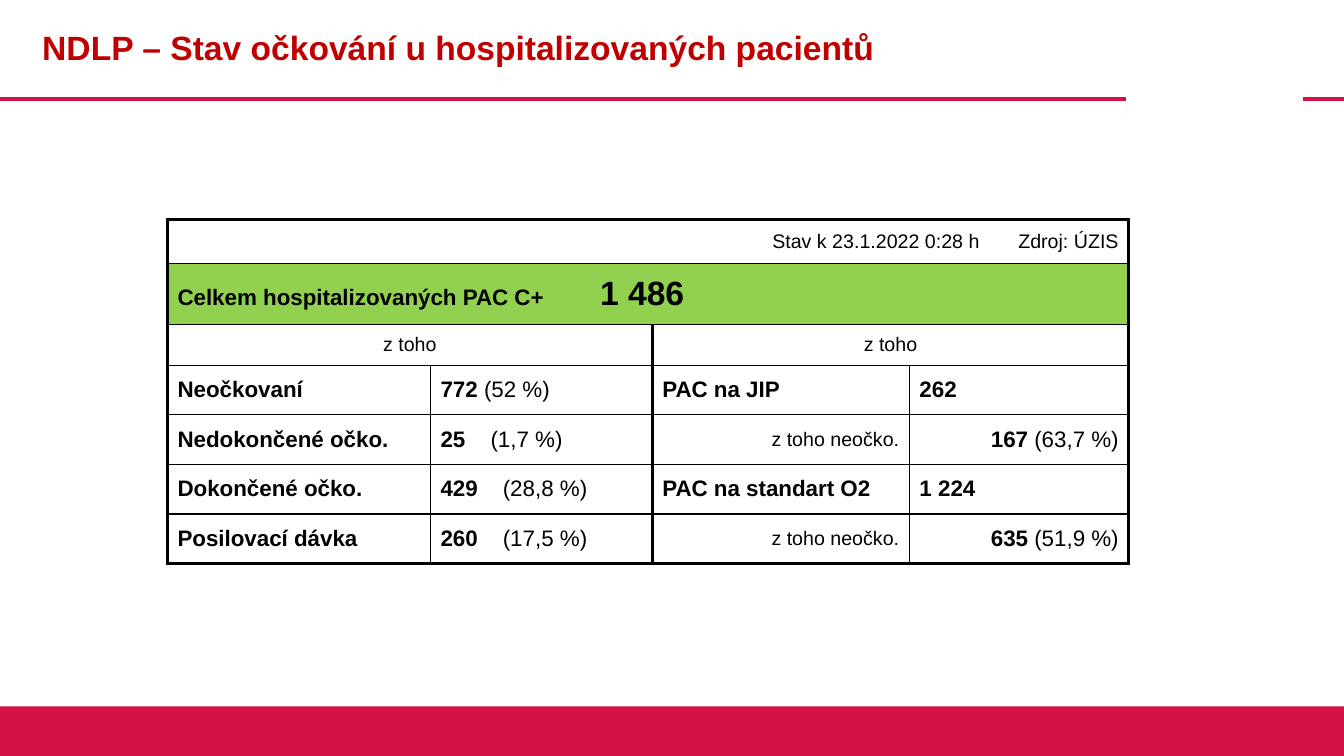
import lxml.etree
import pptx
import pptx.dml.color
import pptx.enum.shapes
import pptx.enum.text
import pptx.oxml.ns
import pptx.util

Cm, Pt = pptx.util.Cm, pptx.util.Pt
RGB = pptx.dml.color.RGBColor.from_string
ALIGN = pptx.enum.text.PP_ALIGN
MIDDLE = pptx.enum.text.MSO_ANCHOR.MIDDLE
qn = pptx.oxml.ns.qn

THEME = {
    "accent": "D31145",
    "total_fill": "92D050",
    "border": "000000",
    "title": {"size": Pt(24), "bold": True, "color": "C00000"},
    "total": {"size": Pt(24), "bold": True, "color": "000000"},
    "label": {"size": Pt(16), "bold": True, "color": "000000"},
    "share": {"size": Pt(16), "bold": False, "color": "000000"},
    "note": {"size": Pt(14), "bold": False, "color": "000000"},
}
THIN, THICK = Pt(1), Pt(2.25)


def add_styled_run(paragraph, text, style):
    run = paragraph.add_run()
    run.text = text
    run.font.name = "Arial"
    for key, value in THEME[style].items():
        if key == "color":
            run.font.color.rgb = RGB(value)
        else:
            setattr(run.font, key, value)


def set_borders(cell, widths):
    """Draw left, right, top and bottom borders; a width of 0 hides one."""
    properties = cell._tc.get_or_add_tcPr()
    for index, (side, width) in enumerate(zip("LRTB", widths)):
        line = lxml.etree.Element(qn(f"a:ln{side}"), w=str(int(width)))
        if width:
            fill = lxml.etree.SubElement(line, qn("a:solidFill"))
            lxml.etree.SubElement(fill, qn("a:srgbClr"), val=THEME["border"])
        else:
            lxml.etree.SubElement(line, qn("a:noFill"))
        properties.insert(index, line)


deck = pptx.Presentation()
deck.slide_width, deck.slide_height = Cm(33.87), Cm(19.05)
slide = deck.slides.add_slide(deck.slide_layouts[5])

# Header rule and footer band
for start, end in [(0, 28.37), (32.84, 33.87)]:
    rule = slide.shapes.add_connector(
        pptx.enum.shapes.MSO_CONNECTOR.STRAIGHT, Cm(start), Cm(2.5), Cm(end), Cm(2.5))
    rule.line.color.rgb = RGB(THEME["accent"])
    rule.line.width = Pt(3)
    lxml.etree.SubElement(rule._element.spPr, qn("a:effectLst"))

footer = slide.shapes.add_shape(
    pptx.enum.shapes.MSO_SHAPE.RECTANGLE, 0, Cm(17.8), deck.slide_width, Cm(1.25))
footer.shadow.inherit = False
footer.fill.solid()
footer.fill.fore_color.rgb = RGB(THEME["accent"])
footer.line.fill.background()

# Title
title = slide.shapes.title
title.left, title.top, title.width, title.height = Cm(0.81), 0, Cm(27.46), Cm(2.5)
for key, value in {"word_wrap": True, "vertical_anchor": MIDDLE,
                   "auto_size": pptx.enum.text.MSO_AUTO_SIZE.NONE}.items():
    setattr(title.text_frame, key, value)
heading = title.text_frame.paragraphs[0]
heading.alignment = ALIGN.LEFT
heading.line_spacing = 0.9
add_styled_run(heading, "NDLP – Stav očkování u hospitalizovaných pacientů", "title")

# Each cell: first column, last column, alignment, tab stop in cm, runs
LEFT, CENTER, RIGHT = ALIGN.LEFT, ALIGN.CENTER, ALIGN.RIGHT
table_rows = [
    [(0, 0, LEFT, None, []),
     (1, 2, LEFT, None, []),
     (3, 4, RIGHT, None, [("Stav k 23.1.2022 0:28 h", "note")]),
     (5, 5, RIGHT, None, [("Zdroj: ÚZIS", "note")])],
    [(0, 5, LEFT, 10.65, [("Celkem hospitalizovaných PAC C+\t", "label"),
                          ("1 486", "total")])],
    [(first, first + 2, CENTER, None, [("z toho", "note")]) for first in (0, 3)],
]
vaccination = [
    ("Neočkovaní", "772 ", "(52 %)", None),
    ("Nedokončené očko.", "25\t", "(1,7 %)", 1.26),
    ("Dokončené očko.", "429\t", "(28,8 %)", 1.57),
    ("Posilovací dávka", "260\t", "(17,5 %)", 1.57),
]
wards = [
    (LEFT, ("PAC na JIP", "label"), [("262", "label")]),
    (RIGHT, ("z toho neočko.", "note"), [("167 ", "label"), ("(63,7 %)", "share")]),
    (LEFT, ("PAC na standart O2", "label"), [("1 224", "label")]),
    (RIGHT, ("z toho neočko.", "note"), [("635 ", "label"), ("(51,9 %)", "share")]),
]
for (status, count, share, tab), (align, ward, patients) in zip(vaccination, wards):
    table_rows.append([
        (0, 1, LEFT, None, [(status, "label")]),
        (2, 2, LEFT, tab, [(count, "label"), (share, "share")]),
        (3, 3, align, None, [ward]),
        (4, 5, align, None, patients),
    ])

column_widths = [6.02, 0.41, 5.59, 6.48, 2.03, 3.5]
row_heights = [1.1, 1.54, 1.02] + [1.25] * 4
table = slide.shapes.add_table(
    len(row_heights), len(column_widths), Cm(4.22), Cm(5.54),
    Cm(sum(column_widths)), Cm(sum(row_heights))).table
table.first_row = table.horz_banding = False
for column, width in zip(table.columns, column_widths):
    column.width = Cm(width)
for row, height in zip(table.rows, row_heights):
    row.height = Cm(height)

last_row, last_column = len(row_heights) - 1, len(column_widths) - 1
for r, row_cells in enumerate(table_rows):
    inner = THIN if r else 0
    middle = THICK if r else 0
    for first, last, align, tab, runs in row_cells:
        cell = table.cell(r, first)
        if last > first:
            cell.merge(table.cell(r, last))
        borders = (
            THICK if first == 0 else middle if first == 3 else inner,
            THICK if last == last_column else middle if last == 2 else inner,
            THICK if r == 0 else THIN,
            THICK if r == last_row else THIN,
        )
        for c in range(first, last + 1):
            part = table.cell(r, c)
            if r == 1:
                part.fill.solid()
                part.fill.fore_color.rgb = RGB(THEME["total_fill"])
            else:
                part.fill.background()
            set_borders(part, borders)
        cell.vertical_anchor = MIDDLE
        paragraph = cell.text_frame.paragraphs[0]
        paragraph.alignment = align
        if tab:
            stops = lxml.etree.SubElement(paragraph._p.get_or_add_pPr(), qn("a:tabLst"))
            lxml.etree.SubElement(stops, qn("a:tab"), pos=str(int(Cm(tab))), algn="l")
        for text, style in runs:
            add_styled_run(paragraph, text, style)

deck.save("out.pptx")
